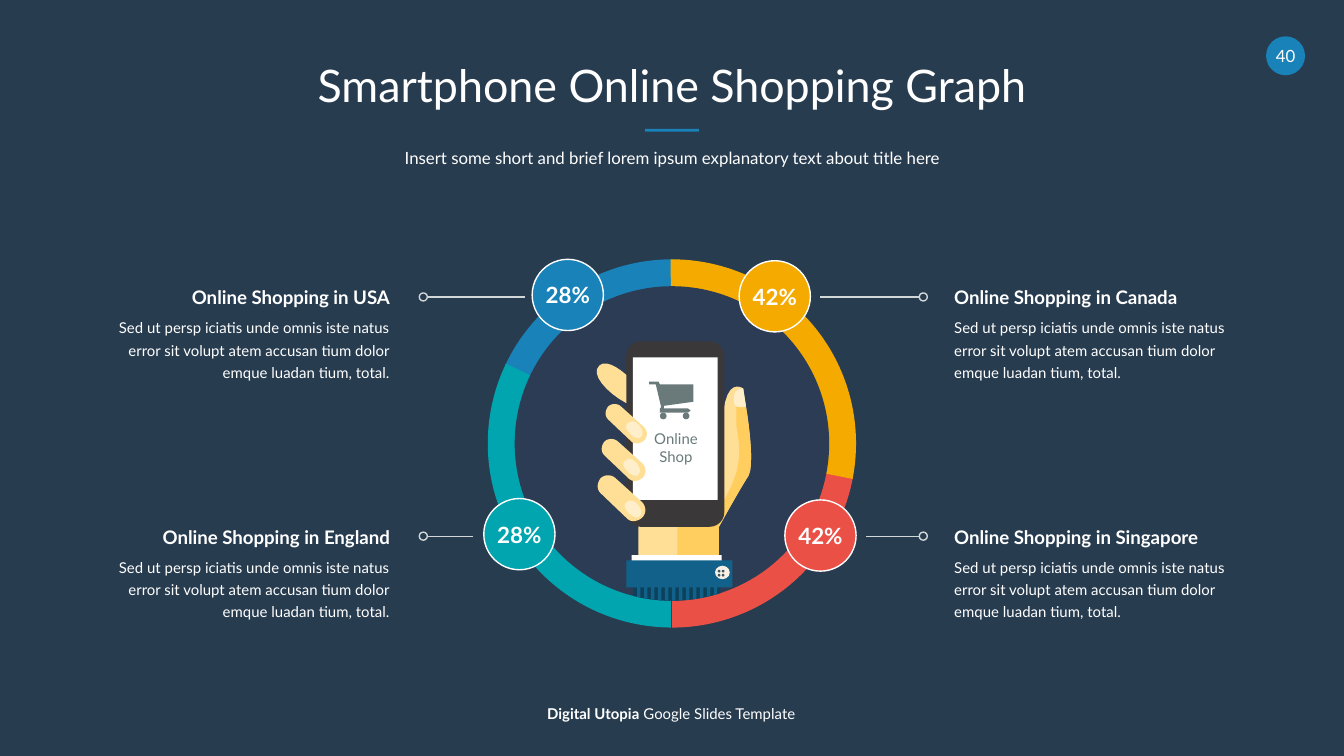
from math import sqrt

from lxml import etree
from pptx import Presentation
from pptx.dml.color import RGBColor
from pptx.enum.shapes import MSO_CONNECTOR, MSO_SHAPE as Shape
from pptx.enum.text import PP_ALIGN as Align
from pptx.oxml.ns import qn
from pptx.util import Inches, Pt

COLORS = {
    "background": "283C50", "disc": "2D3C55", "white": "FFFFFF", "rule": "D2D8D8",
    "blue": "1982B9", "yellow": "F5AA00", "red": "EB5046", "teal": "00A5AF",
    "skin": "FFDE95", "shade": "FFCE5F", "nail": "FFEECA", "phone": "3A3838",
    "cart": "6A7A7A", "cuff": "12618A", "ribs": "0C415C", "button": "FBF0E3",
    "holes": "375968",
}
BODY = ("Sed ut persp iciatis unde omnis iste natus error sit volupt atem "
        "accusan tium dolor emque luadan tium, total.")

# Outlines: a pair is a corner, six numbers are a Bezier curve to the last pair.
PALM = [(1.53, 0.89), (1.51, 0.88, 1.41, 0.82, 1.38, 1.08), (1.38, 1.4), (1, 1.4),
        (1.16, 2.17), (1.35, 1.92), (1.35, 1.92, 1.51, 1.63, 1.57, 1.54),
        (1.61, 1.47, 1.58, 1.19, 1.55, 1.02)]
PALM_SHADE = [(1.55, 1.02), (1.53, 1.03, 1.5, 1.03, 1.48, 1.03), (1.48, 1.17),
              (1.5, 1.28, 1.51, 1.37, 1.49, 1.47), (1.47, 1.58, 1.39, 1.73, 1.33, 1.81),
              (1.27, 1.89, 1.21, 1.96, 1.13, 2), (1.16, 2.17), (1.35, 1.92),
              (1.35, 1.92, 1.51, 1.63, 1.57, 1.54), (1.61, 1.47, 1.58, 1.19, 1.55, 1.02)]
THUMB_NAIL = [(1.46, 0.96), (1.46, 1, 1.46, 1.03, 1.52, 1.03),
              (1.53, 1.03, 1.54, 1.03, 1.55, 1.02), (1.53, 0.89),
              (1.49, 0.89, 1.46, 0.92, 1.46, 0.96)]
INDEX_FINGER = [(0.66, 0.79), (0.66, 0.79, 0.52, 0.66, 0.46, 0.72),
                (0.39, 0.78, 0.51, 0.92, 0.66, 1)]
FINGER = [(0.92, 0.58), (1, 0.67, 1, 0.81, 0.92, 0.89), (0.84, 0.97, 0.7, 1, 0.62, 0.92),
          (0.08, 0.39), (0, 0.31, 0, 0.19, 0.08, 0.08), (0.16, 0, 0.3, 0, 0.38, 0.08)]
FINGER_NAIL = [(0.8, 0.33), (0.93, 0.53, 1, 0.73, 0.87, 0.87), (0.8, 1, 0.53, 0.93, 0.33, 0.73),
               (0.2, 0.53, 0, 0.4, 0.2, 0.2), (0.47, 0, 0.6, 0.13, 0.8, 0.33)]
CART = [(0.83, 0.84), (0.9, 0.84), (0.91, 0.86), (1.16, 0.86), (1.16, 0.99), (0.94, 1.02),
        (0.94, 1.04), (1.12, 1.04), (1.14, 1.055), (1.12, 1.07), (0.91, 1.07),
        (0.91, 1.04), (0.92, 1.03), (0.88, 0.86), (0.83, 0.86)]


def rgb(name):
    return RGBColor.from_string(COLORS[name])


def paint(shape, fill=None, line=None):
    shape.shadow.inherit = False
    if fill:
        shape.fill.solid()
        shape.fill.fore_color.rgb = rgb(fill)
    else:
        shape.fill.background()
    if line:
        shape.line.color.rgb = rgb(line)
        shape.line.width = Pt(0.75)
    else:
        shape.line.fill.background()
    return shape


def add_preset(slide, kind, box, fill=None, line=None):
    return paint(slide.shapes.add_shape(kind, *map(Inches, box)), fill, line)


def add_outline(slide, outline, fill, left, top, width=1, height=1):
    """Draw an outline, flattening its curves, scaled to the given box."""
    points = []
    for step in outline:
        if len(step) == 2:
            points.append(step)
            continue
        corners = [points[-1], step[:2], step[2:4], step[4:]]
        for t in (i / 8 for i in range(1, 9)):
            weights = ((1 - t) ** 3, 3 * t * (1 - t) ** 2, 3 * t * t * (1 - t), t ** 3)
            points.append(tuple(sum(w * c[axis] for w, c in zip(weights, corners))
                                for axis in (0, 1)))
    placed = [(Inches(left + x * width), Inches(top + y * height)) for x, y in points]
    builder = slide.shapes.build_freeform(*placed[0])
    builder.add_line_segments(placed[1:], close=True)
    paint(builder.convert_to_shape(), fill)


def style_run(run, size, color="white", bold=False):
    run.font.name, run.font.size, run.font.bold = "Lato", Pt(size), bold
    run.font.color.rgb = rgb(color)


def add_text(slide, box, text, size, color="white", bold=False, align=Align.CENTER,
             spacing=None):
    frame = slide.shapes.add_textbox(*map(Inches, box)).text_frame
    frame.word_wrap = True
    frame.margin_left = frame.margin_right = frame.margin_top = frame.margin_bottom = 0
    frame.text = text
    for paragraph in frame.paragraphs:
        paragraph.alignment = align
        paragraph.line_spacing = spacing
        for run in paragraph.runs:
            style_run(run, size, color, bold)
    return frame


def add_badge(slide, left, top, diameter, text, size, fill, line=None, bold=False):
    """Disc with one line of text centred on it."""
    add_preset(slide, Shape.OVAL, (left, top, diameter, diameter), fill, line)
    width, height = diameter - 0.07, size * 1.2 / 72
    add_text(slide, (left + (diameter - width) / 2, top + (diameter - height) / 2,
                     width, height), text, size, bold=bold)


def add_header(slide, left, top, width):
    add_preset(slide, Shape.RECTANGLE, (left + width / 2 - 0.2, top + 0.53, 0.4, 0.02), "blue")
    add_text(slide, (left, top, width, 0.44), "Smartphone Online Shopping Graph", 24)
    add_text(slide, (left, top + 0.67, width, 0.17),
             "Insert some short and brief lorem ipsum explanatory text about title here", 9)


def add_footer(slide, box):
    line = add_text(slide, box, "Digital Utopia", 8, bold=True).paragraphs[0]
    rest = line.add_run()
    rest.text = " Google Slides Template"
    style_run(rest, 8)


def add_ring(slide, left, top, size):
    sectors = [("blue", 205, 270.4), ("red", 10.9, 90), ("yellow", 269.6, 11.1),
               ("teal", 90.35, 205.7)]
    for color, start, end in sectors:
        sector = add_preset(slide, Shape.PIE, (left, top, size, size), color)
        for i, degrees in enumerate((start, end)):
            sector.adjustments[i] = degrees * 0.6  # 60000 units a degree, in 100000ths
    band = 0.2
    add_preset(slide, Shape.OVAL, (left + band, top + band, size - 2 * band, size - 2 * band),
               "disc")


def add_cuff(slide, left, top):
    def rim(x):
        """Height at which the inner edge of the ring cuts the sleeve."""
        return 1.3 + sqrt(1.17 ** 2 - (x - 1) ** 2)

    add_preset(slide, Shape.RECTANGLE, (left + 0.7, top + 2.13, 0.67, 0.05), "white")
    ribs = [(0.71, 2.34), (1.36, 2.34)]
    ribs += [(x, rim(x)) for x in (1.36 - 0.065 * i for i in range(11))]
    add_outline(slide, ribs, "ribs", left, top)
    cuff = [(0.66, 2.17), (1.45, 2.17), (1.45, 2.37)]
    for i in reversed(range(12)):
        start = 0.74 + 0.052 * i
        end = start + 0.025
        cuff += [(end, 2.37), (end, rim(end)), (start, rim(start)), (start, 2.37)]
    add_outline(slide, cuff + [(0.66, 2.37)], "cuff", left, top)
    add_preset(slide, Shape.OVAL, (left + 1.32, top + 2.21, 0.11, 0.1), "button")
    for x in (1.34, 1.37):
        for y in (2.24, 2.27):
            add_preset(slide, Shape.OVAL, (left + x, top + y, 0.02, 0.02), "holes")


def add_phone(slide, left, top):
    body = add_preset(slide, Shape.ROUNDED_RECTANGLE, (left, top, 0.73, 1.38), "phone")
    body.adjustments[0] = 0.15
    add_preset(slide, Shape.RECTANGLE, (left + 0.05, top + 0.12, 0.63, 1.06), "white")


def add_hand(slide, left, top):
    """Hand with a phone, in a box 2 inches wide."""
    add_outline(slide, PALM, "skin", left, top)
    add_preset(slide, Shape.RECTANGLE, (left + 0.75, top + 1.89, 0.6, 0.36), "skin")
    add_outline(slide, PALM_SHADE, "shade", left, top)
    add_outline(slide, THUMB_NAIL, "nail", left, top)
    add_preset(slide, Shape.RECTANGLE, (left + 1.04, top + 1.89, 0.31, 0.36), "shade")
    add_phone(slide, left + 0.66, top + 0.54)
    for x, y, size in ((0.44, 1.53, 0.37), (0.47, 1.26, 0.34), (0.5, 1, 0.32)):
        add_outline(slide, FINGER, "skin", left + x, top + y, size, size - 0.01)
    add_outline(slide, INDEX_FINGER, "skin", left, top)
    for x, y in ((0.63, 1.71), (0.62, 1.4), (0.64, 1.12)):
        add_outline(slide, FINGER_NAIL, "nail", left + x, top + y, 0.15, 0.15)
    add_cuff(slide, left, top)
    add_outline(slide, CART, "cart", left, top)
    for x in (0.91, 1.08):
        add_preset(slide, Shape.OVAL, (left + x, top + 1.07, 0.05, 0.05), "cart")
    add_text(slide, (left + 0.72, top + 1.2, 0.62, 0.27), "Online\nShop", 8, color="cart")


def add_callout(slide, left, top, country, align, marker, line_end):
    """Heading and text, with a marker whose line runs to the ring."""
    add_text(slide, (left, top, 2.15, 0.17), f"Online Shopping in {country}", 10,
             bold=True, align=align)
    add_text(slide, (left, top + 0.21, 2.15, 0.5), BODY, 8, align=align, spacing=1.25)
    size = 0.06
    line_start = marker + size if line_end > marker else marker
    y = Inches(top + 0.08)
    line = slide.shapes.add_connector(MSO_CONNECTOR.STRAIGHT, Inches(line_start), y,
                                      Inches(line_end), y)
    line.line.color.rgb = rgb("rule")
    line.line.width = Pt(0.75)
    etree.SubElement(line._element.spPr, qn("a:effectLst"))
    add_preset(slide, Shape.OVAL, (marker, top + 0.08 - size / 2, size, size), line="rule")


def main():
    prs = Presentation()
    prs.slide_width = Inches(10)
    prs.slide_height = prs.slide_width * 9 // 16
    slide = prs.slides.add_slide(prs.slide_layouts[6])
    slide.background.fill.solid()
    slide.background.fill.fore_color.rgb = rgb("background")

    add_badge(slide, 9.42, 0.27, 0.29, "40", 9, "blue")
    add_footer(slide, (4, 5.24, 1.99, 0.13))
    add_header(slide, 0.75, 0.43, 8.5)
    add_ring(slide, 3.63, 1.93, 2.74)
    add_hand(slide, 4, 2)
    for x, y, share, color in ((5.5, 1.94, "42%", "yellow"), (3.96, 1.93, "28%", "blue"),
                               (5.84, 3.72, "42%", "red"), (3.6, 3.71, "28%", "teal")):
        add_badge(slide, x, y, 0.53, share, 12, color, line="white", bold=True)
    for top, (west, west_end), (east, east_end) in (
            (2.13, ("USA", 3.91), ("Canada", 6.1)),
            (3.91, ("England", 3.52), ("Singapore", 6.44))):
        add_callout(slide, 0.75, top, west, Align.RIGHT, 3.12, west_end)
        add_callout(slide, 7.1, top, east, Align.LEFT, 6.84, east_end)
    prs.save("out.pptx")


if __name__ == "__main__":
    main()
